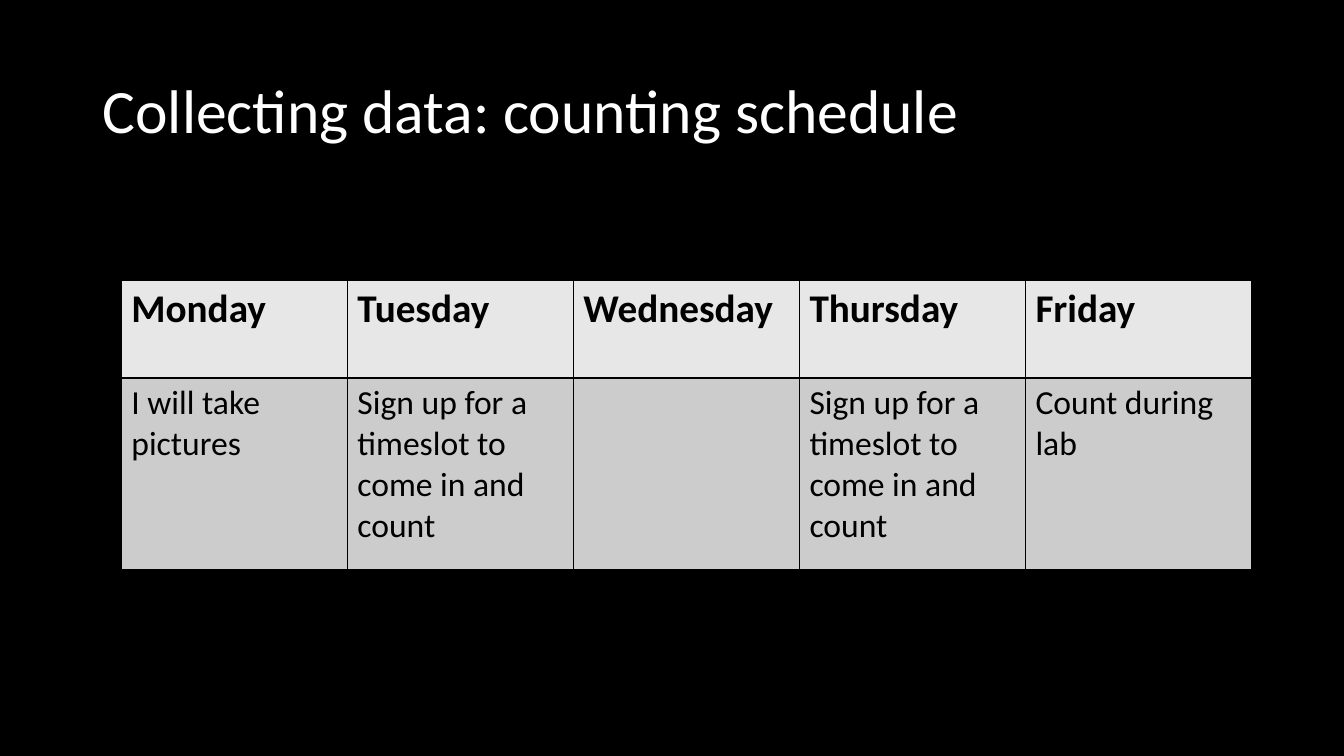
import pptx
import pptx.util
import pptx.dml.color
import pptx.enum.text
import pptx.oxml
import pptx.oxml.ns


def color(value):
    return pptx.dml.color.RGBColor.from_string(value)


class Deck:
    """Style and current slide; lengths are on a grid of 100 columns by 100 rows."""
    FONT = "Calibri"
    BLACK, WHITE = "000000", "FFFFFF"
    HEADER, BODY = "E7E7E7", "CCCCCC"

    def __init__(self, width, height):
        self.prs = pptx.Presentation()
        self.prs.slide_width = pptx.util.Inches(width)
        self.prs.slide_height = pptx.util.Inches(height)
        self.s = self.prs.slides.add_slide(self.prs.slide_layouts[6])
        fill = self.s.background.fill
        fill.solid()
        fill.fore_color.rgb = color(self.BLACK)

    def col(self, n):
        return round(self.prs.slide_width * n / 100)

    def row(self, n):
        return round(self.prs.slide_height * n / 100)

    def box(self, x, y, w, h):
        return self.col(x), self.row(y), self.col(w), self.row(h)

    def run(self, p, text, size, ink, bold=False):
        r = p.add_run()
        r.text = text
        r.font.name = self.FONT
        r.font.size = pptx.util.Pt(size)
        r.font.bold = bold
        r.font.color.rgb = color(ink)

    def title(self, text, x, y, w, h):
        sp = self.s.shapes.add_textbox(*self.box(x, y, w, h))
        tf = sp.text_frame
        tf.word_wrap = True
        tf.vertical_anchor = pptx.enum.text.MSO_ANCHOR.MIDDLE
        p = tf.paragraphs[0]
        p.line_spacing = 0.9
        self.run(p, text, 44, self.WHITE)

    def borders(self, cell):
        props = cell._tc.get_or_add_tcPr()
        for i, side in enumerate(("lnL", "lnR", "lnT", "lnB")):
            props.insert(i, pptx.oxml.parse_xml(
                f'<a:{side} {pptx.oxml.ns.nsdecls("a")} w="{pptx.util.Pt(1)}">'
                f'<a:solidFill><a:srgbClr val="{self.BLACK}"/></a:solidFill></a:{side}>'))

    def table(self, rows, x, y, w, heights):
        frame = self.s.shapes.add_table(len(rows), len(rows[0]),
                                        *self.box(x, y, w, sum(heights)))
        table = frame.table
        for i, (texts, height) in enumerate(zip(rows, heights)):
            table.rows[i].height = self.row(height)
            header = i == 0
            for j, text in enumerate(texts):
                cell = table.cell(i, j)
                cell.fill.solid()
                cell.fill.fore_color.rgb = color(self.HEADER if header else self.BODY)
                self.borders(cell)
                if text:
                    self.run(cell.text_frame.paragraphs[0], text,
                             28 if header else 24, self.BLACK, header)


def main():
    deck = Deck(13.33, 7.5)

    # Title
    deck.title("Collecting data: counting schedule", 6.9, 5.33, 86.25, 19.33)

    # Weekly schedule
    sign_up = "Sign up for a timeslot to come in and count"
    schedule = {
        "Monday": "I will take pictures",
        "Tuesday": sign_up,
        "Wednesday": "",
        "Thursday": sign_up,
        "Friday": "Count during lab",
    }
    deck.table([list(schedule), list(schedule.values())],
               9.03, 37.07, 84.1, (12.93, 25.33))

    deck.prs.save("out.pptx")


if __name__ == "__main__":
    main()
